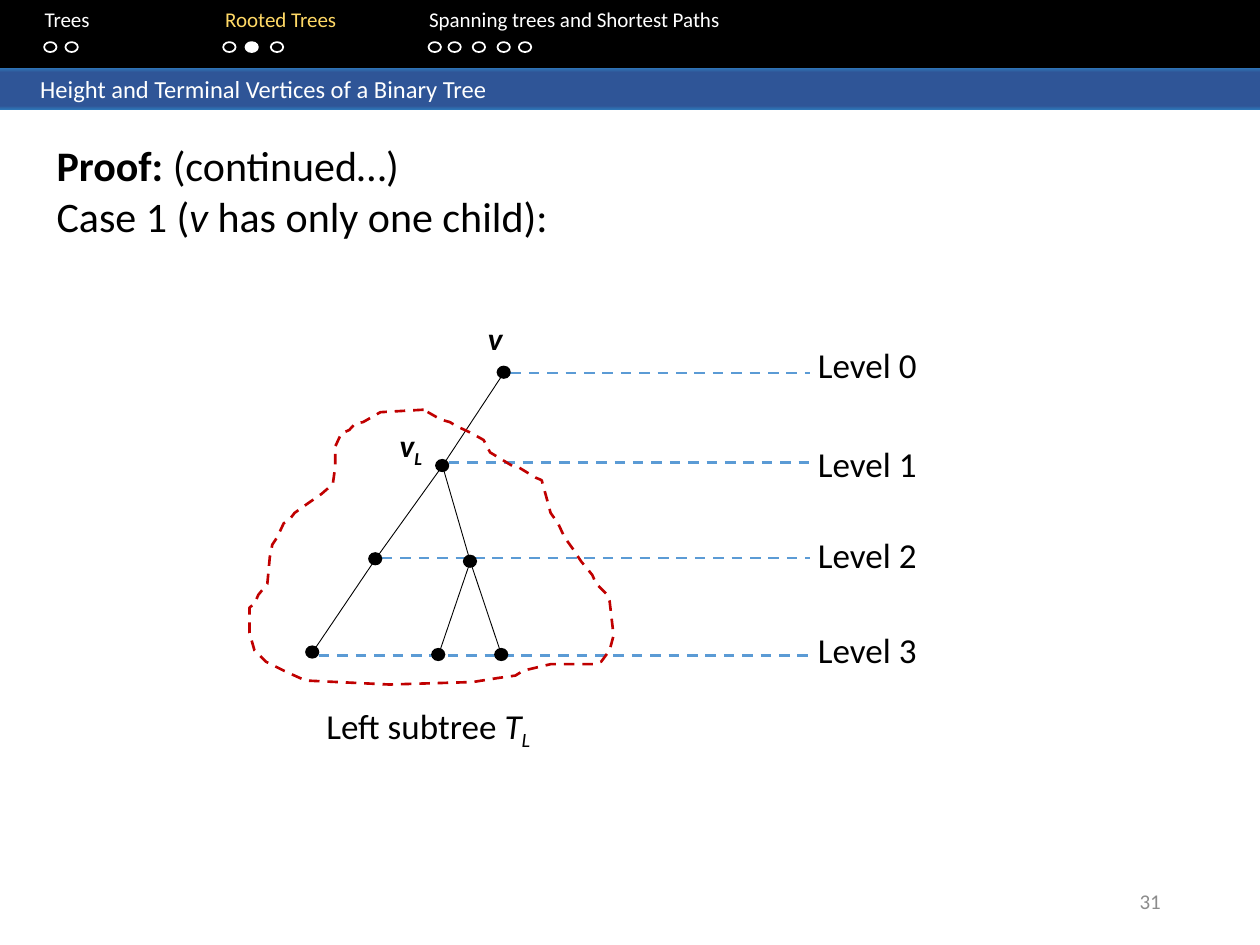
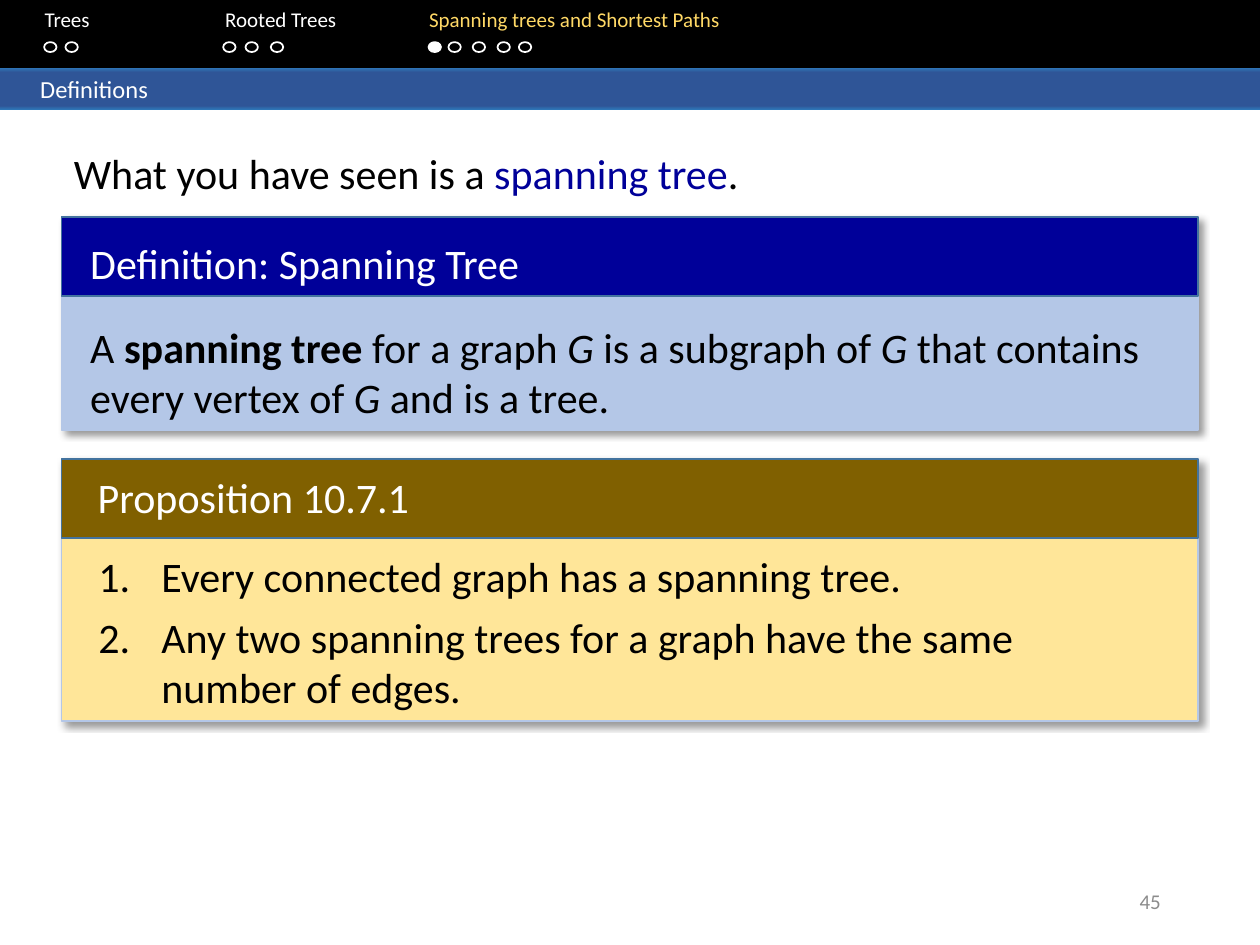
from lxml import etree
from pptx import Presentation
from pptx.dml.color import RGBColor
from pptx.enum import dml, shapes, text
from pptx.oxml import ns
from pptx.util import Cm, Pt

FONT = "Calibri"
BLACK, WHITE, GREY = "000000", "FFFFFF", "8C8C8C"
GOLD, NAVY, BROWN = "FFD966", "000099", "806000"
PALE_BLUE, PALE_GOLD = "B4C7E7", "FFE699"
HEADER_LINE, LEVEL_LINE, SUBTREE_LINE = "43739E", "5B9BD5", "C00000"
BAND_STOPS = [(0, "2E75B6"), (11, "2F5597"), (91, "2F5597"), (100, "2E75B6")]
BOLD, ITALIC, BOLD_ITALIC = {"bold": True}, {"italic": True}, {"bold": True, "italic": True}
LEFT, CENTER, RIGHT = text.PP_ALIGN.LEFT, text.PP_ALIGN.CENTER, text.PP_ALIGN.RIGHT

SECTIONS = [
    ("Trees", 0, [0.89, 1.32]),
    ("Rooted Trees", 3.64, [4.5, 4.95, 5.46]),
    ("Spanning trees and Shortest Paths", 7.75, [8.64, 9.04, 9.53, 10.03, 10.46]),
]
VERTICES = {
    "v": (5.13, 1.21), "vL": (3.89, 3.09), "left": (2.54, 4.97), "right": (4.45, 5.02),
    "leaf1": (1.27, 6.85), "leaf2": (3.81, 6.9), "leaf3": (5.08, 6.9),
}
EDGES = [("v", "vL"), ("vL", "left"), ("vL", "right"), ("left", "leaf1"),
         ("right", "leaf2"), ("right", "leaf3")]
LEVELS = [("v", 1.22, 0.51), ("vL", 3.02, 2.49), ("left", 4.95, 4.34), ("leaf1", 6.91, 6.25)]
SUBTREE_OUTLINE = [
    (351, 0), (264, 5), (229, 25), (213, 28), (201, 41), (185, 48), (173, 74), (173, 114),
    (168, 150), (145, 170), (119, 188), (91, 208), (81, 221), (69, 229), (56, 257),
    (46, 272), (41, 297), (36, 351), (18, 373), (10, 391), (0, 399), (0, 450), (10, 485),
    (33, 508), (69, 526), (102, 541), (114, 546), (282, 554), (450, 549), (500, 541),
    (536, 536), (552, 526), (607, 513), (693, 513), (709, 508), (726, 485), (734, 455),
    (726, 386), (721, 373), (699, 351), (691, 333), (668, 305), (653, 282), (635, 257),
    (622, 229), (607, 208), (599, 178), (589, 142), (577, 137), (544, 117), (531, 114),
    (485, 86), (472, 61), (445, 46), (417, 33), (404, 25), (386, 20),
]


def rgb(value):
    """Turn a hex string into a colour."""
    return RGBColor.from_string(value)


def add_xml(parent, tag, **attrs):
    """Append a DrawingML element to a parent."""
    return etree.SubElement(parent, ns.qn(tag), attrs)


def write(p, runs, size, color=BLACK, align=LEFT):
    """Fill a paragraph with runs given as (text, font changes) pairs or strings."""
    p.alignment = align
    p.font.name, p.font.size = FONT, Pt(size)
    p.font.color.rgb = rgb(color)
    for run in [runs] if isinstance(runs, str) else runs:
        words, changes = (run, {}) if isinstance(run, str) else run
        r = p.add_run()
        r.text = words
        for key, value in changes.items():
            if key == "color":
                r.font.color.rgb = rgb(value)
            elif key == "baseline":
                r._r.get_or_add_rPr().set(key, value)
            else:
                setattr(r.font, key, value)


def subscript(words, **changes):
    """Make a lowered run."""
    return words, {"baseline": "-25000", **changes}


def text_box(parent, box, lines, size, color=BLACK, align=LEFT):
    """Add a wrapping text box with one paragraph per line and return its frame."""
    tf = parent.add_textbox(*map(Cm, box)).text_frame
    tf.word_wrap = True
    for i, runs in enumerate(lines):
        p = tf.add_paragraph() if i else tf.paragraphs[0]
        write(p, runs, size, color, align)
    return tf


def add_shape(parent, kind, box, fill=None, line=None):
    """Add a preset shape without a shadow."""
    sp = parent.add_shape(kind, *map(Cm, box))
    sp.shadow.inherit = False
    style(sp, fill, line)
    return sp


def style(sp, fill=None, line=None, width=1, dashed=False):
    """Set fill and outline of a shape."""
    if fill:
        sp.fill.solid()
        sp.fill.fore_color.rgb = rgb(fill)
    else:
        sp.fill.background()
    if line:
        set_line(sp.line, line, width, dashed)
    else:
        sp.line.fill.background()


def set_line(line, color, width, dashed=False):
    """Set colour, width and dash of a line."""
    line.color.rgb = rgb(color)
    line.width = Pt(width)
    if dashed:
        line.dash_style = dml.MSO_LINE.DASH


def connect(parent, start, end, color, width, dashed=False):
    """Draw a straight line between two points."""
    cxn = parent.add_connector(shapes.MSO_CONNECTOR.STRAIGHT, *map(Cm, (*start, *end)))
    set_line(cxn.line, color, width, dashed)
    add_xml(cxn._element.spPr, "a:effectLst")


def place(sp, box):
    """Move and resize a placeholder."""
    sp.left, sp.top, sp.width, sp.height = map(Cm, box)
    sp.text_frame.word_wrap = True
    sp.text_frame.auto_size = text.MSO_AUTO_SIZE.NONE


def title_band(title, words):
    """Format the title placeholder as the gradient band."""
    place(title, (0, 1.37, 25.4, 0.84))
    title.fill.gradient()
    title.fill.gradient_angle = 270
    stops = title._element.spPr.find(".//" + ns.qn("a:gsLst"))
    for stop in list(stops):
        stops.remove(stop)
    for position, color in BAND_STOPS:
        stop = add_xml(stops, "a:gs", pos=str(position * 1000))
        add_xml(stop, "a:srgbClr", val=color)
    tf = title.text_frame
    tf.margin_left, tf.margin_top, tf.margin_bottom = Cm(0.81), 0, 0
    tf.vertical_anchor = text.MSO_ANCHOR.MIDDLE
    write(tf.paragraphs[0], words, 14, WHITE)


def navigation(parent, section, step):
    """Draw the black bar with section names and progress dots."""
    add_shape(parent, shapes.MSO_SHAPE.RECTANGLE, (0, -0.05, 25.4, 1.42), BLACK)
    tf = parent.add_textbox(0, 0, Cm(25.4), Cm(1.27)).text_frame
    tf.word_wrap = True
    tf.margin_left = Cm(0.9)
    p = tf.paragraphs[0]
    tabs = add_xml(p._p.get_or_add_pPr(), "a:tabLst")
    runs = []
    for i, (name, tab, dots) in enumerate(SECTIONS):
        if i:
            add_xml(tabs, "a:tab", pos=str(Cm(tab)), algn="l")
        runs.append(("\t" * bool(i) + name, {"color": GOLD if i == section else WHITE}))
        for j, x in enumerate(dots):
            fill = WHITE if (i, j) == (section, step) else None
            add_shape(parent, shapes.MSO_SHAPE.OVAL, (x, 0.85, 0.25, 0.2), fill, WHITE)
    write(p, runs, 12, WHITE)


def new_slide(prs, layout, title, number, section, step):
    """Add a slide with navigation, title band and page number."""
    s = prs.slides.add_slide(prs.slide_layouts[layout])
    title_band(s.shapes.title, title)
    navigation(s.shapes, section, step)
    tf = text_box(s.shapes, (17.93, 17.65, 5.72, 1.02), [str(number)], 12, GREY, RIGHT)
    tf.vertical_anchor = text.MSO_ANCHOR.MIDDLE
    return s


def tree_diagram(parent, left, top):
    """Draw the binary tree, its levels and the outlined left subtree."""
    def at(x, y):
        return left + x, top + y

    group = parent.add_group_shape().shapes
    for i, (name, y, label_y) in enumerate(LEVELS):
        connect(group, at(VERTICES[name][0] + 0.13, y), at(11.3, y), LEVEL_LINE, 1.5, True)
        text_box(group, (*at(10.13, label_y), 4.65, 1.12), [f"Level {i}"], 20, align=CENTER)
    for start, end in EDGES:
        connect(group, at(*VERTICES[start]), at(*VERTICES[end]), BLACK, 0.5)
    for x, y in VERTICES.values():
        add_shape(group, shapes.MSO_SHAPE.OVAL, (*at(x - 0.13, y - 0.12), 0.25, 0.23),
                  BLACK, BLACK)

    builder = group.build_freeform(*SUBTREE_OUTLINE[0], scale=Cm(0.01))
    builder.add_line_segments(SUBTREE_OUTLINE[1:], close=True)
    outline = builder.convert_to_shape(*map(Cm, at(0, 1.96)))
    outline.shadow.inherit = False
    style(outline, None, SUBTREE_LINE, 1.5, True)

    labels = [
        ((4.32, 0, 1.27, 1.04), [("v", BOLD_ITALIC)], 18),
        ((2.62, 2.16, 1.27, 1.04), [("v", BOLD_ITALIC), subscript("L", **BOLD_ITALIC)], 18),
        ((0.61, 7.77, 5.99, 1.12),
         ["Left subtree ", ("T", ITALIC), subscript("L", **ITALIC)], 20),
    ]
    for (x, y, w, h), runs, size in labels:
        text_box(group, (*at(x, y), w, h), [runs], size, align=CENTER)


def panel(parent, box, heading, head_at, head_color, body_color):
    """Draw a shadowed panel with a coloured heading bar."""
    left, top, width, _ = box
    body = add_shape(parent, shapes.MSO_SHAPE.RECTANGLE, box, body_color, PALE_BLUE)
    effects = body._element.spPr.find(ns.qn("a:effectLst"))
    shadow = add_xml(effects, "a:outerShdw", blurRad=str(Pt(4)), dist=str(Pt(3)),
                     dir="2700000", algn="tl", rotWithShape="0")
    add_xml(add_xml(shadow, "a:srgbClr", val=BLACK), "a:alpha", val="40000")
    add_shape(parent, shapes.MSO_SHAPE.RECTANGLE, (left, top, width, 1.6),
              head_color, HEADER_LINE)
    x, y = head_at
    text_box(parent, (left + x, top + y, width - 2 * x, 1.27), [heading], 24, WHITE)


def numbered_list(s, body, box, items):
    """Write a numbered list into the body placeholder and bring it forward."""
    place(body, box)
    tf = body.text_frame
    for i, item in enumerate(items):
        p = tf.add_paragraph() if i else tf.paragraphs[0]
        pPr = p._p.get_or_add_pPr()
        pPr.set("marL", str(Cm(1.27)))
        pPr.set("indent", str(-Cm(1.27)))
        add_xml(pPr, "a:buFont", typeface="+mj-lt")
        add_xml(pPr, "a:buAutoNum", type="arabicPeriod")
        p.space_before, p.space_after = Pt(0), Pt(6)
        write(p, item, 24)
    s.shapes.element.append(body.element)


def proof_slide(prs):
    """Build the slide with the first case of the proof."""
    s = new_slide(prs, 5, "Height and Terminal Vertices of a Binary Tree", 31, 1, 1)
    text_box(s.shapes, (0.89, 2.69, 23.09, 2.31), [
        [("Proof: ", BOLD), "(continued…)"],
        ["Case 1 (", ("v", ITALIC), " has only one child):"],
    ], 24)
    tree_diagram(s.shapes, 5.03, 6.3)


def definitions_slide(prs):
    """Build the slide that defines spanning trees."""
    s = new_slide(prs, 1, "Definitions", 45, 2, 0)
    text_box(s.shapes, (1.24, 2.84, 22.17, 1.27), [
        ["What you have seen is a ", ("spanning tree", {"color": NAVY}), "."],
    ], 24)
    panel(s.shapes, (1.24, 4.37, 22.91, 4.3), "Definition: Spanning Tree",
          (0.33, 0.3), NAVY, PALE_BLUE)
    text_box(s.shapes, (1.57, 6.35, 22.35, 2.31), [[
        "A ", ("spanning tree ", BOLD), "for a graph ", ("G", ITALIC), " is a subgraph of ",
        ("G", ITALIC), " that contains every vertex of ", ("G", ITALIC), " and is a tree.",
    ]], 24)
    panel(s.shapes, (1.24, 9.25, 22.91, 5.28), "Proposition 10.7.1",
          (0.48, 0.13), BROWN, PALE_GOLD)
    numbered_list(s, s.placeholders[1], (1.73, 10.97, 21.69, 3.56), [
        "Every connected graph has a spanning tree.",
        "Any two spanning trees for a graph have the same number of edges.",
    ])


def main():
    """Build and save the presentation."""
    prs = Presentation()
    prs.slide_width, prs.slide_height = Cm(25.4), Cm(19.05)
    proof_slide(prs)
    definitions_slide(prs)
    prs.save("out.pptx")


if __name__ == "__main__":
    main()
